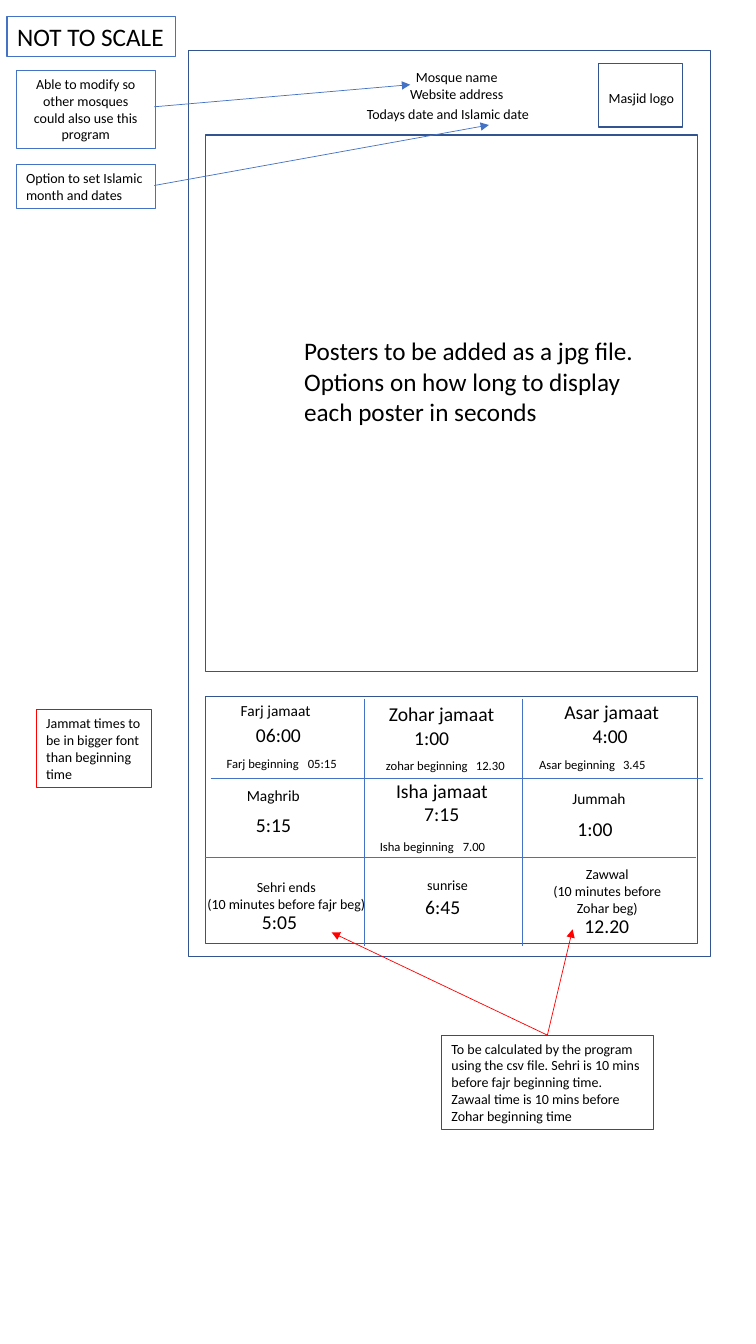
import pptx
import pptx.util
import pptx.dml.color
import pptx.enum.shapes
import pptx.enum.text
import pptx.oxml
import pptx.oxml.ns
from pptx.util import Pt

ALIGN = pptx.enum.text.PP_ALIGN
THEME = {
    "font": "Calibri", "text": "000000",
    "frame": "325491", "note": "4472C4", "alert": "FF0000",
    "title": 18, "prayer": 14, "minor": 11, "body": 10, "small": 9,
    "frame_line": 1, "note_line": 0.75, "thin_line": 0.5,
}

# Content: boxes are (left, top, width, height), points are (x, y)
TITLE = ("NOT TO SCALE", (5, 11.5, 120.2, 28.8))
PANELS = {
    "screen": (134.6, 36, 373, 647.3),
    "poster": (146.9, 96.5, 351.4, 383),
    "timetable": (146.9, 497.5, 351.4, 176.4),
    "logo": (427.7, 45.4, 59.8, 45.4),
}
GRID_LINES = [
    ((150.5, 555.8), (501.8, 555.8)),
    ((146.2, 612.7), (497.5, 612.7)),
    ((260.6, 499), (260.6, 675.4)),
    ((373, 499), (373, 675.4)),
]
# Labels: lines, left, top, width, size, alignment
LABELS = [
    (["Mosque name", "Website address"], 154.1, 45.4, 344.2, "body", ALIGN.CENTER),
    (["Todays date and Islamic date"], 254.9, 72, 133.2, "body", ALIGN.LEFT),
    (["Masjid logo"], 427.7, 60.5, 61.9, "body", ALIGN.LEFT),
    (["Posters to be added as a jpg file.", "Options on how long to display",
      "each poster in seconds"], 210.2, 236.2, 252, "title", ALIGN.LEFT),
    (["Farj jamaat"], 164.9, 497.5, 64.8, "minor", ALIGN.LEFT),
    (["Zohar jamaat"], 270.7, 497.5, 90.7, "prayer", ALIGN.LEFT),
    (["Asar jamaat"], 396, 496.1, 82.8, "prayer", ALIGN.LEFT),
    (["Maghrib"], 169.2, 558, 52.6, "minor", ALIGN.LEFT),
    (["Isha jamaat"], 275.8, 553, 80.6, "prayer", ALIGN.LEFT),
    (["Jummah"], 401.8, 560.2, 52.6, "minor", ALIGN.LEFT),
    (["Sehri ends", "(10 minutes before fajr beg)"],
     139.7, 624.2, 129.6, "body", ALIGN.CENTER),
    (["sunrise"], 298.1, 622.8, 43.9, "body", ALIGN.LEFT),
    (["Zawwal", "(10 minutes before", "Zohar beg)"],
     386.6, 614.9, 94.3, "body", ALIGN.CENTER),
]
JAMAAT_TIMES = [
    ("06:00", 175.7, 512.6), ("1:00", 288.7, 514.8), ("4:00", 416.2, 513.4),
    ("5:15", 175.7, 577.4), ("7:15", 295.9, 569.5), ("1:00", 405.4, 580.3),
    ("5:05", 180, 646.6), ("6:45", 296.6, 635.8), ("12.20", 410.4, 649.4),
]
# Beginnings: label, time, left, top, width, tab stop of the time
BEGINNINGS = [
    ("Farj beginning", "05:15", 154.8, 536.4, 98.6, 58),
    ("zohar beginning", "12.30", 268.6, 537.8, 104.4, 64.3),
    ("Asar beginning", "3.45", 378, 537.1, 91.4, 60),
    ("Isha beginning", "7.00", 264.2, 595.4, 90, 59.3),
]
# Notes: text, box, colour, alignment, arrow start, arrow ends
NOTES = [
    ("Able to modify so other mosques could also use this program",
     (11.5, 50.4, 99.4, 55.4), "note", ALIGN.CENTER, (110.2, 76.3), [(293, 60.5)]),
    ("Option to set Islamic month and dates",
     (11.5, 117.4, 99.4, 31.7), "note", ALIGN.LEFT, (110.2, 132.5), [(349.2, 89.3)]),
    ("Jammat times to be in bigger font than beginning time",
     (25.9, 506.9, 82.1, 55.4), "alert", ALIGN.LEFT, None, []),
    ("To be calculated by the program using the csv file. Sehri is 10 mins before "
     "fajr beginning time. Zawaal time is 10 mins before Zohar beginning time",
     (315.4, 739.4, 151.2, 67.7), "alert", ALIGN.LEFT, (391, 739.4),
     [(236.9, 666), (409, 663.8)]),
]


def color(key):
    return pptx.dml.color.RGBColor.from_string(THEME[key])


def points(values):
    return [Pt(value) for value in values]


def outline(shape, key, width):
    shape.line.color.rgb = color(key)
    shape.line.width = Pt(THEME[width])


def write(frame, lines, size, align=ALIGN.LEFT, wrap=True):
    frame.word_wrap = wrap
    frame.auto_size = pptx.enum.text.MSO_AUTO_SIZE.NONE
    frame.vertical_anchor = pptx.enum.text.MSO_ANCHOR.TOP
    for index, line in enumerate(lines):
        paragraph = frame.add_paragraph() if index else frame.paragraphs[0]
        paragraph.alignment = align
        run = paragraph.add_run()
        run.text = line
        run.font.size = Pt(THEME[size])
        run.font.name = THEME["font"]
        run.font.color.rgb = color("text")


def add_label(lines, left, top, width, size, align=ALIGN.LEFT, wrap=False):
    height = len(lines) * THEME[size] * 1.22 + 7.2
    label = slide.shapes.add_textbox(*points((left, top, width, height)))
    write(label.text_frame, lines, size, align, wrap)
    return label


def add_box(box, key, width):
    shape = slide.shapes.add_shape(
        pptx.enum.shapes.MSO_SHAPE.RECTANGLE, *points(box))
    shape.shadow.inherit = False
    shape.fill.background()
    outline(shape, key, width)
    return shape


def add_line(start, end, key, arrow=False):
    line = slide.shapes.add_connector(
        pptx.enum.shapes.MSO_CONNECTOR.STRAIGHT, *points(start + end))
    outline(line, key, "thin_line")
    if arrow:
        head = pptx.oxml.ns.qn("a:tailEnd")
        line.line._get_or_add_ln().append(
            line._element.makeelement(head, {"type": "triangle"}))
    properties = line._element.spPr
    properties.append(properties.makeelement(pptx.oxml.ns.qn("a:effectLst"), {}))


presentation = pptx.Presentation()
presentation.slide_width, presentation.slide_height = Pt(540), Pt(960)
slide = presentation.slides.add_slide(presentation.slide_layouts[5])

# Title
title_text, title_box = TITLE
title = slide.shapes.title
title.left, title.top, title.width, title.height = points(title_box)
outline(title, "note", "note_line")
write(title.text_frame, [title_text], "title", wrap=False)

# Screen layout and timetable grid
for panel in PANELS.values():
    add_box(panel, "frame", "frame_line")
for start, end in GRID_LINES:
    add_line(start, end, "note")

# Labels and times
for label in LABELS:
    add_label(*label)
for time, left, top in JAMAAT_TIMES:
    add_label([time], left, top, 46.8 if len(time) == 5 else 39.6, "prayer")
for prayer, time, left, top, width, tab in BEGINNINGS:
    beginning = add_label([f"{prayer}\t{time}"], left, top, width, "small", wrap=True)
    paragraph = beginning.text_frame.paragraphs[0]._p.get_or_add_pPr()
    paragraph.append(pptx.oxml.parse_xml(
        f'<a:tabLst {pptx.oxml.ns.nsdecls("a")}>'
        f'<a:tab pos="{Pt(tab)}" algn="l"/></a:tabLst>'))

# Notes and their arrows
for text, box, key, align, start, ends in NOTES:
    note = add_box(box, key, "note_line")
    write(note.text_frame, [text], "body", align)
    for end in ends:
        add_line(start, end, key, arrow=True)

presentation.save("out.pptx")
